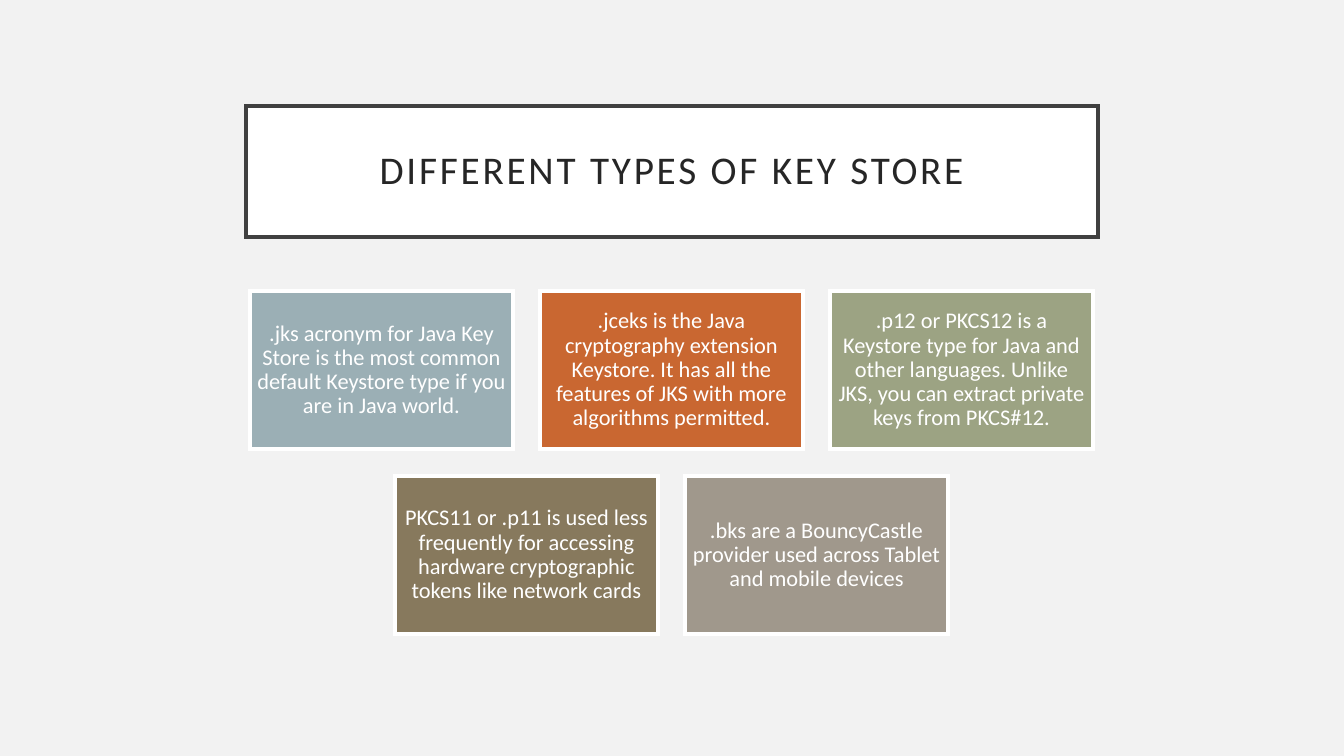
from lxml.etree import SubElement
from pptx import Presentation
from pptx.dml.color import RGBColor
from pptx.enum.shapes import MSO_SHAPE
from pptx.enum.text import MSO_ANCHOR, PP_ALIGN
from pptx.oxml.ns import qn
from pptx.util import Emu, Pt

SLIDE_W, SLIDE_H = 1344, 756
SCALE = 914400 / 100.8


def px(n):
    return Emu(round(n * SCALE))


def rgb(value):
    return RGBColor.from_string(value)


class Deck:
    """Holds the style and the current slide."""
    font = "Calibri"
    line_width = Pt(2.5)

    def __init__(self):
        self.prs = Presentation()
        self.prs.slide_width, self.prs.slide_height = px(SLIDE_W), px(SLIDE_H)
        self.s = self.prs.slides.add_slide(self.prs.slide_layouts[6])

    def background(self, color):
        fill = self.s.background.fill
        fill.solid()
        fill.fore_color.rgb = rgb(color)

    def box(self, x, y, w, h, text, fill, line, color, size, inset, spacing=0):
        sp = self.s.shapes.add_shape(MSO_SHAPE.RECTANGLE, px(x), px(y), px(w), px(h))
        sp.shadow.inherit = False
        sp.fill.solid()
        sp.fill.fore_color.rgb = rgb(fill)
        sp.line.color.rgb = rgb(line)
        sp.line.width = self.line_width
        # Square corners on the outline
        SubElement(sp.line._get_or_add_ln(), qn("a:miter"), lim="800000")

        tf = sp.text_frame
        p = tf.paragraphs[0]
        r = p.add_run()
        r.text = text
        formats = {
            tf: {"word_wrap": True, "vertical_anchor": MSO_ANCHOR.MIDDLE,
                 "margin_left": px(inset), "margin_right": px(inset),
                 "margin_top": px(inset), "margin_bottom": px(inset)},
            p: {"alignment": PP_ALIGN.CENTER, "line_spacing": 0.9},
            r.font: {"name": self.font, "size": Pt(size)},
        }
        for target, values in formats.items():
            for name, value in values.items():
                setattr(target, name, value)
        r.font.color.rgb = rgb(color)
        if spacing:
            r._r.get_or_add_rPr().set("spc", str(spacing * 100))

    def centred_row(self, y, w, h, gap, cards):
        x = (SLIDE_W - len(cards) * (w + gap) + gap) // 2
        for i, (text, fill) in enumerate(cards):
            self.box(x + i * (w + gap), y, w, h, text, fill,
                     line="FFFFFF", color="FFFFFF", size=16, inset=7)


KEY_STORES = [
    (".jks acronym for Java Key Store is the most common default Keystore type "
     "if you are in Java world.", "9BAFB5"),
    (".jceks is the Java cryptography extension Keystore. It has all the features "
     "of JKS with more algorithms permitted.", "C96731"),
    (".p12 or PKCS12 is a Keystore type for Java and other languages. Unlike JKS, "
     "you can extract private keys from PKCS#12.", "9CA383"),
    ("PKCS11 or .p11 is used less frequently for accessing hardware cryptographic "
     "tokens like network cards", "87795D"),
    (".bks are a BouncyCastle provider used across Tablet and mobile devices",
     "A0988C"),
]
PER_ROW = 3
CARD_W, CARD_H, GAP = 263, 158, 27


def main():
    deck = Deck()
    deck.background("F2F2F2")

    # Title
    deck.box(246, 106, 852, 131, "DIFFERENT TYPES OF KEY STORE", fill="FFFFFF",
             line="404040", color="262626", size=28, inset=20, spacing=2)

    # Key store cards, three to a row
    for row, start in enumerate(range(0, len(KEY_STORES), PER_ROW)):
        deck.centred_row(291 + row * (CARD_H + GAP), CARD_W, CARD_H, GAP,
                         KEY_STORES[start:start + PER_ROW])

    deck.prs.save("out.pptx")


if __name__ == "__main__":
    main()
